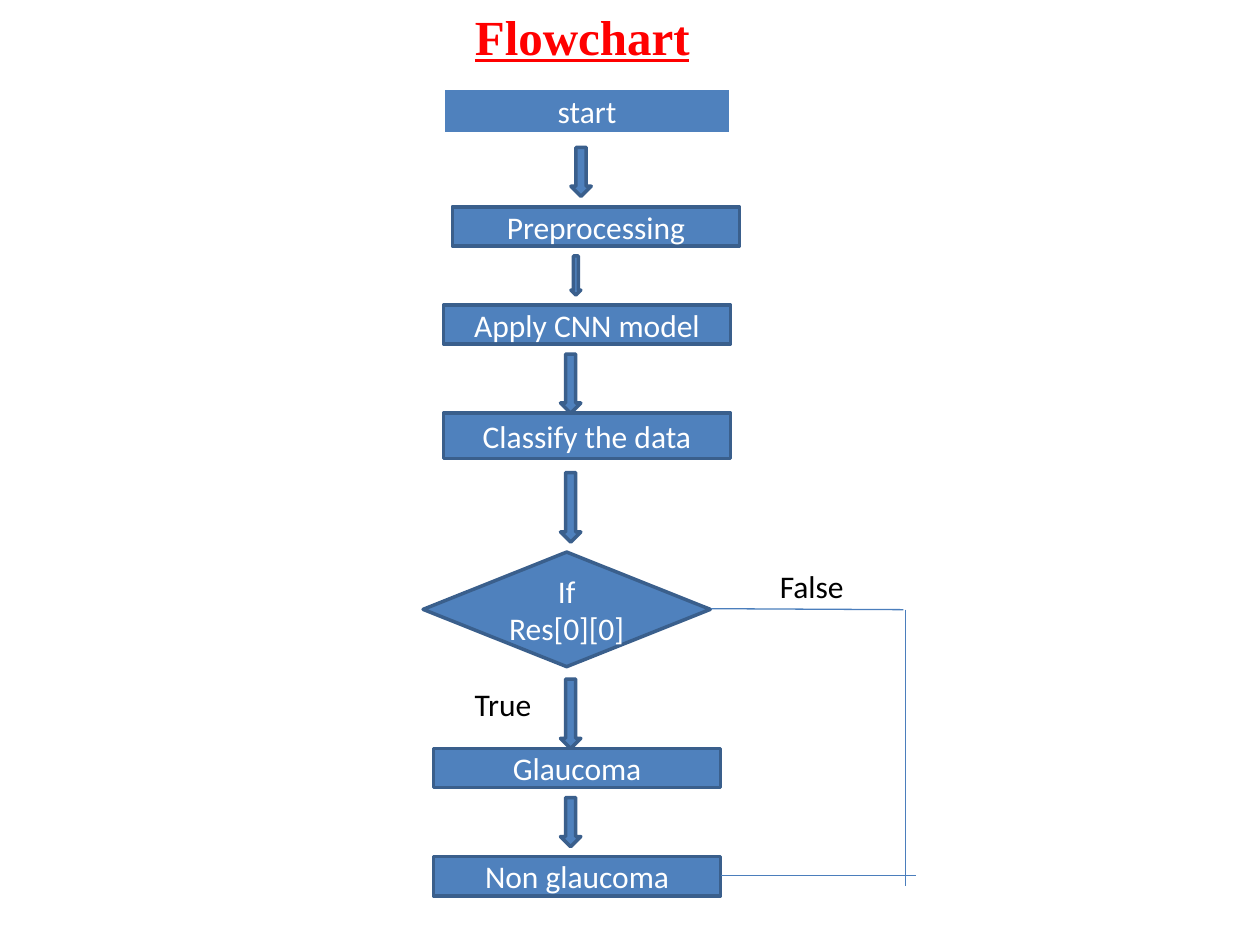
from lxml.etree import SubElement
from pptx import Presentation
from pptx.dml.color import RGBColor
from pptx.enum.shapes import MSO_CONNECTOR, MSO_SHAPE
from pptx.enum.text import MSO_ANCHOR, MSO_AUTO_SIZE, PP_ALIGN
from pptx.oxml.ns import qn
from pptx.util import Cm, Pt

BLUE = RGBColor(0x4F, 0x81, 0xBD)
DARK_BLUE = RGBColor(0x3A, 0x5F, 0x8C)
LINE_BLUE = RGBColor(0x4B, 0x7E, 0xBC)
WHITE = RGBColor(0xFF, 0xFF, 0xFF)
BLACK = RGBColor(0, 0, 0)
RED = RGBColor(0xFF, 0, 0)

BODY_FONT = {"name": "Calibri", "size": Pt(18)}
TITLE_FONT = {"name": "Times New Roman", "size": Pt(28), "bold": True, "underline": True}
LABEL_FRAME = {"word_wrap": False, "auto_size": MSO_AUTO_SIZE.SHAPE_TO_FIT_TEXT}
TITLE_FRAME = {"word_wrap": False, "auto_size": MSO_AUTO_SIZE.NONE,
               "vertical_anchor": MSO_ANCHOR.TOP}
STEP_FRAME = {"word_wrap": True, "vertical_anchor": MSO_ANCHOR.MIDDLE}

STEP_WIDTH = 5.79
STEPS = [
    ("start", 8.94, 1.78, 0.91, MSO_SHAPE.RECTANGLE, WHITE),
    ("Preprocessing", 9.12, 4.17, 0.79, MSO_SHAPE.RECTANGLE, DARK_BLUE),
    ("Apply CNN model", 8.94, 6.15, 0.79, MSO_SHAPE.RECTANGLE, DARK_BLUE),
    ("Classify the data", 8.94, 8.33, 0.91, MSO_SHAPE.RECTANGLE, DARK_BLUE),
    ("If\nRes[0][0]", 8.53, 11.13, 2.31, MSO_SHAPE.DIAMOND, DARK_BLUE),
    ("Glaucoma", 8.74, 15.09, 0.79, MSO_SHAPE.RECTANGLE, DARK_BLUE),
    ("Non glaucoma", 8.74, 17.27, 0.79, MSO_SHAPE.RECTANGLE, DARK_BLUE),
]
ARROWS = [
    (11.51, 2.97, 0.41, 0.99),
    (11.51, 5.16, 0.2, 0.79),
    (11.3, 7.14, 0.41, 1.19),
    (11.3, 9.53, 0.41, 1.4),
    (11.3, 13.69, 0.41, 1.4),
    (11.3, 16.08, 0.41, 0.99),
]
FALSE_BRANCH = [
    (14.33, 12.27, 18.21, 12.29),
    (18.26, 12.29, 18.26, 17.86),
    (14.53, 17.65, 18.47, 17.65),
]
LABELS = [("False", 15.47, 11.3, 1.8, 1.02), ("True", 9.32, 13.69, 1.68, 1.02)]


def set_values(target, values):
    for name, value in values.items():
        setattr(target, name, value)


def write_text(shape, text, frame_values, font_values, color, alignment):
    text_frame = shape.text_frame
    text_frame.text = text
    set_values(text_frame, frame_values)
    for paragraph in text_frame.paragraphs:
        paragraph.alignment = alignment
        for run in paragraph.runs:
            set_values(run.font, font_values)
            run.font.color.rgb = color


def add_title(slide, text):
    title = slide.shapes.title
    set_values(title, {"left": Cm(9.32), "top": Cm(0), "width": Cm(4.9), "height": Cm(1.45)})
    write_text(title, text, TITLE_FRAME, TITLE_FONT, RED, PP_ALIGN.LEFT)


def add_block(slide, kind, left, top, width, height, outline):
    shape = slide.shapes.add_shape(kind, Cm(left), Cm(top), Cm(width), Cm(height))
    shape.shadow.inherit = False
    shape.fill.solid()
    shape.fill.fore_color.rgb = BLUE
    shape.line.color.rgb = outline
    shape.line.width = Pt(2)
    return shape


def add_step(slide, text, left, top, height, kind, outline):
    shape = add_block(slide, kind, left, top, STEP_WIDTH, height, outline)
    write_text(shape, text, STEP_FRAME, BODY_FONT, WHITE, PP_ALIGN.CENTER)


def add_line(slide, *ends):
    connector = slide.shapes.add_connector(MSO_CONNECTOR.STRAIGHT, *map(Cm, ends))
    connector.line.color.rgb = LINE_BLUE
    connector.line.width = Pt(0.75)
    SubElement(connector._element.spPr, qn("a:effectLst"))


def add_label(slide, text, *place):
    label = slide.shapes.add_textbox(*map(Cm, place))
    write_text(label, text, LABEL_FRAME, BODY_FONT, BLACK, PP_ALIGN.LEFT)


def main():
    presentation = Presentation()
    set_values(presentation, {"slide_width": Cm(25.4), "slide_height": Cm(19.05)})
    slide = presentation.slides.add_slide(presentation.slide_layouts[5])
    for step in STEPS:
        add_step(slide, *step)
    add_title(slide, "Flowchart")
    for arrow in ARROWS:
        add_block(slide, MSO_SHAPE.DOWN_ARROW, *arrow, DARK_BLUE)
    for line in FALSE_BRANCH:
        add_line(slide, *line)
    for label in LABELS:
        add_label(slide, *label)
    presentation.save("out.pptx")


if __name__ == "__main__":
    main()
